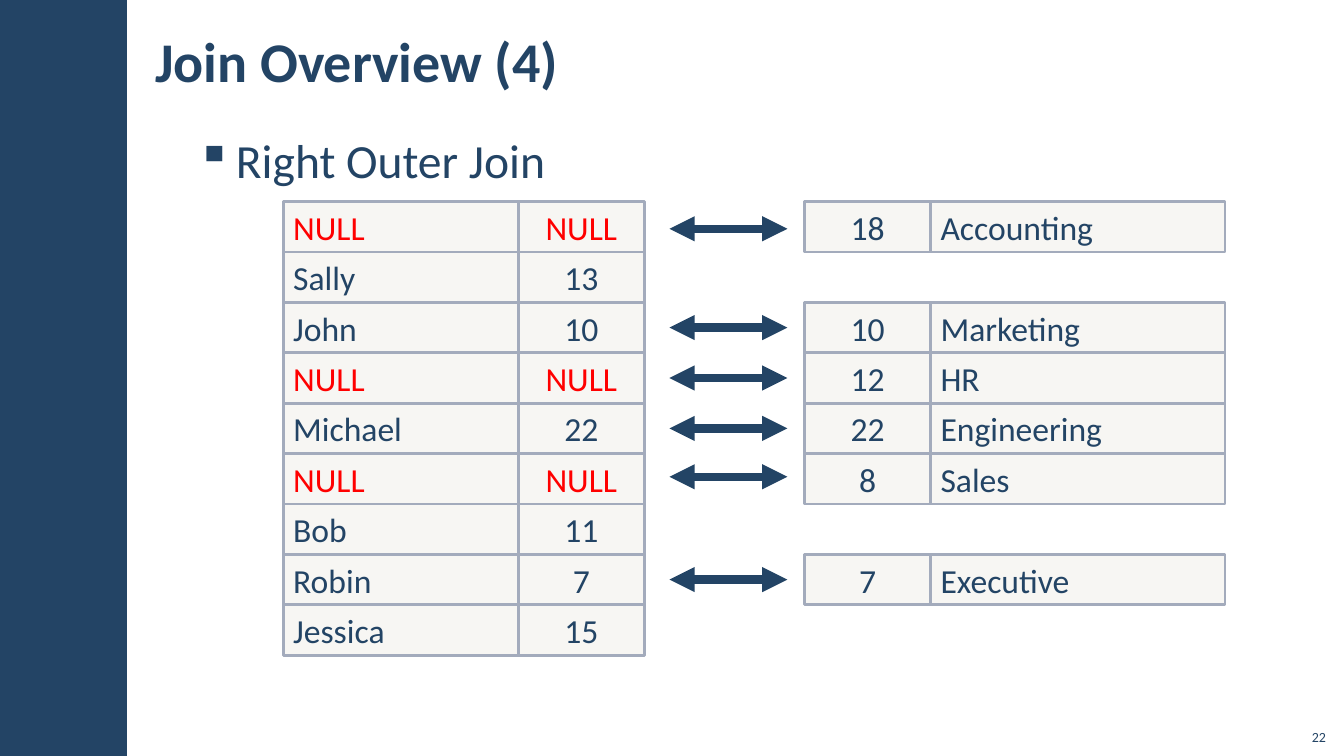
from lxml.etree import SubElement
from pptx import Presentation
from pptx.dml.color import RGBColor
from pptx.enum.shapes import MSO_CONNECTOR, MSO_SHAPE
from pptx.enum.text import MSO_ANCHOR, PP_ALIGN
from pptx.oxml.ns import qn
from pptx.util import Pt

EMU_PER_PX = 9144
COLORS = {"navy": "234465", "cell": "D9D5C7", "border": "A3ABBC", "missing": "FF0000"}
FONT = "Calibri"
ROWS_TOP, ROW_HEIGHT = 200, 50
NAME_LEFT, NAME_WIDTH = 281, 233
EMPLOYEE_KEY_LEFT, DEPARTMENT_KEY_LEFT, KEY_WIDTH = 514, 798, 125
DEPARTMENT_LEFT, DEPARTMENT_WIDTH = 923, 292
ARROW_LEFT, ARROW_RIGHT = 664, 781

JOINED_ROWS = [
    ("NULL", "NULL", "18", "Accounting"),
    ("Sally", "13", None, None),
    ("John", "10", "10", "Marketing"),
    ("NULL", "NULL", "12", "HR"),
    ("Michael", "22", "22", "Engineering"),
    ("NULL", "NULL", "8", "Sales"),
    ("Bob", "11", None, None),
    ("Robin", "7", "7", "Executive"),
    ("Jessica", "15", None, None),
]
ARROW_HEIGHTS = [227, 325, 375, 425, 473, 575]


def px(*lengths):
    """Turn pixel lengths into EMU."""
    return [length * EMU_PER_PX for length in lengths]


def rgb(color):
    """Look up a named colour."""
    return RGBColor.from_string(COLORS[color])


def write(frame, text, size, color="navy", bold=False, align=PP_ALIGN.LEFT):
    """Put one styled paragraph into a text frame."""
    paragraph = frame.paragraphs[0]
    paragraph.text = text
    paragraph.alignment = align
    font = paragraph.font
    font.name, font.size, font.bold = FONT, Pt(size), bold
    font.color.rgb = rgb(color)


def add_text_frame(slide, box, anchor, side_inset=12, edge_inset=4):
    """Add a wrapping text box and return its frame."""
    frame = slide.shapes.add_textbox(*px(*box)).text_frame
    frame.word_wrap = True
    frame.vertical_anchor = anchor
    frame.margin_left, frame.margin_right = px(side_inset, side_inset)
    frame.margin_top, frame.margin_bottom = px(edge_inset, edge_inset)
    return frame


def add_rectangle(slide, box, fill):
    """Add a flat filled rectangle without an outline."""
    rectangle = slide.shapes.add_shape(MSO_SHAPE.RECTANGLE, *px(*box))
    rectangle.shadow.inherit = False
    rectangle.fill.solid()
    rectangle.fill.fore_color.rgb = rgb(fill)
    rectangle.line.fill.background()
    return rectangle


def add_bullet_line(slide, box, text):
    """Add a line of body text with a square bullet."""
    frame = add_text_frame(slide, box, MSO_ANCHOR.TOP)
    paragraph = frame.paragraphs[0]
    paragraph.line_spacing = 1.05
    paragraph.space_after = Pt(6)
    properties = paragraph._p.get_or_add_pPr()
    indent, = px(39)
    properties.set("marL", str(indent))
    properties.set("indent", str(-indent))
    SubElement(properties, qn("a:buChar"), char="▪")
    write(frame, text, 34)


def add_cell(slide, left, top, width, text, align):
    """Add one translucent bordered cell of a joined row."""
    cell = add_rectangle(slide, (left, top, width, ROW_HEIGHT), "cell")
    tint = cell.fill._xPr.find(qn("a:solidFill"))[0]
    SubElement(tint, qn("a:alpha"), val="20000")
    cell.line.color.rgb = rgb("border")
    cell.line.width = Pt(2)
    cell.text_frame.vertical_anchor = MSO_ANCHOR.MIDDLE
    write(cell.text_frame, text, 24, "missing" if text == "NULL" else "navy", align=align)


def add_match_arrow(slide, y):
    """Add a thick double-headed arrow between matching rows."""
    arrow = slide.shapes.add_connector(
        MSO_CONNECTOR.STRAIGHT, *px(ARROW_LEFT, y, ARROW_RIGHT, y))
    arrow.line.color.rgb = rgb("navy")
    arrow.line.width = Pt(6)
    outline = arrow.line._get_or_add_ln()
    for end in ("a:headEnd", "a:tailEnd"):
        SubElement(outline, qn(end), type="triangle")
    SubElement(arrow._element.spPr, qn("a:effectLst"))


def main():
    """Build and save the slide."""
    presentation = Presentation()
    presentation.slide_width, presentation.slide_height = px(1333, 750)
    slide = presentation.slides.add_slide(presentation.slide_layouts[6])

    add_rectangle(slide, (0, 0, 126, 750), "navy")
    title = add_text_frame(slide, (142, 11, 943, 97), MSO_ANCHOR.MIDDLE)
    write(title, "Join Overview (4)", 40, bold=True)
    add_bullet_line(slide, (183, 123, 1129, 607), "Right Outer Join")

    for index, (name, employee_key, department_key, department) in enumerate(JOINED_ROWS):
        top = ROWS_TOP + index * ROW_HEIGHT
        add_cell(slide, NAME_LEFT, top, NAME_WIDTH, name, PP_ALIGN.LEFT)
        add_cell(slide, EMPLOYEE_KEY_LEFT, top, KEY_WIDTH, employee_key, PP_ALIGN.CENTER)
        if department:
            add_cell(slide, DEPARTMENT_LEFT, top, DEPARTMENT_WIDTH, department, PP_ALIGN.LEFT)
            add_cell(slide, DEPARTMENT_KEY_LEFT, top, KEY_WIDTH, department_key, PP_ALIGN.CENTER)
    for y in ARROW_HEIGHTS:
        add_match_arrow(slide, y)

    page_number = add_text_frame(slide, (1285, 712, 40, 32), MSO_ANCHOR.BOTTOM, 10, 5)
    write(page_number, "22", 10, align=PP_ALIGN.RIGHT)
    presentation.save("out.pptx")


if __name__ == "__main__":
    main()
